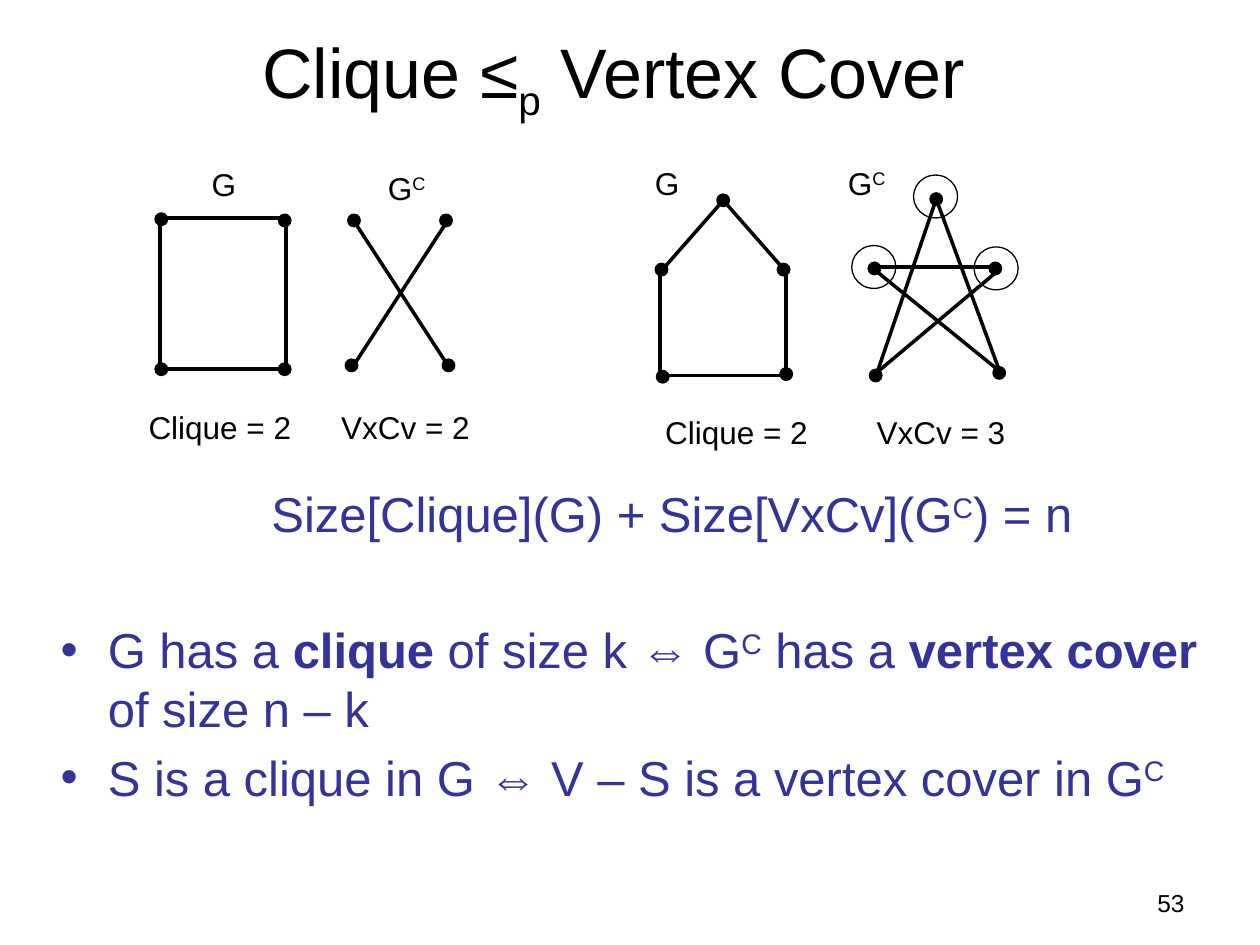
from lxml.etree import SubElement
from pptx import Presentation
from pptx.dml.color import RGBColor
from pptx.enum.shapes import MSO_CONNECTOR, MSO_SHAPE
from pptx.enum.text import MSO_ANCHOR, MSO_AUTO_SIZE, PP_ALIGN
from pptx.oxml.ns import qn
from pptx.util import Pt

BLACK, WHITE, INDIGO = "000000", "FFFFFF", "333399"
SUPER, SUB, BOLD = {"baseline": 30}, {"baseline": -25}, {"bold": True}
DOT = 7.2

GRAPHS = [
    {
        "rectangle": (91.4, 124.6, 72, 86.4),
        "dots": [(92.2, 125.3), (162.7, 126), (92.2, 211), (162.7, 211)],
    },
    {
        "edges": [(201.6, 125.3, 257.8, 211.7), (256.3, 125.3, 200.2, 211.7)],
        "dots": [(202.3, 126), (254.9, 126), (200.9, 208.8), (256.3, 208.8)],
    },
    {
        "rectangle": (377.3, 156.2, 72, 58.3),
        "edges": [(377.3, 155.5, 413.3, 114.5), (449.3, 155.5, 413.3, 114.5)],
        "opening": (378, 156.2, 448.6, 156.2),
        "dots": [(413.3, 114.5), (378, 154.1), (447.8, 154.1),
                 (449.3, 213.8), (378.7, 215.3)],
    },
    {
        "edges": [(500.4, 215.3, 535, 113.8), (572.4, 215.3, 535, 113.8),
                  (500.4, 152.6, 569.5, 152.6), (499.7, 154.1, 572.4, 213.1),
                  (571, 154.1, 499, 214.6)],
        "dots": [(535, 113.8), (499.7, 153.4), (568.8, 153.4),
                 (571, 213.1), (500.4, 214.6)],
    },
]
COVER = [(499.3, 152.6), (534.6, 112.3), (569.2, 153.4)]

COMPLEMENT = [("G", {}), ("C", SUPER)]
LABELS = [
    (77.8, 229.7, 95.8, [("Clique = 2", {})]),
    (187.9, 229.7, 87.8, [("VxCv = 2", {})]),
    (373, 232.6, 95.8, [("Clique = 2", {})]),
    (493.9, 232.6, 87.8, [("VxCv = 3", {})]),
    (113.8, 90.7, 28.8, [("G", {})]),
    (367.2, 90, 28.8, [("G", {})]),
    (214.6, 92.9, 37.4, COMPLEMENT),
    (477.4, 90, 37.4, COMPLEMENT),
]

TITLE = [("Clique ≤", {}), ("p", SUB), (" Vertex Cover", {})]
FORMULA = [("Size[Clique](G) + Size[VxCv](G", {}), ("C", SUPER), (") = n", {})]
BULLETS = [
    [("G has a ", {}), ("clique", BOLD), (" of size k ⇔ G", {}), ("C", SUPER),
     (" has a ", {}), ("vertex cover", BOLD), (" of size n – k", {})],
    [("S is a clique in G ⇔ V – S is a vertex cover in G", {}), ("C", SUPER)],
]


def colour(value):
    """Turn a hex string into a colour."""
    return RGBColor.from_string(value)


def apply(target, values):
    """Set every attribute named in a dict of format values."""
    for name, value in values.items():
        setattr(target, name, value)


def place(shape, left, top, width, height):
    """Move and size a shape, in points."""
    apply(shape, {"left": Pt(left), "top": Pt(top),
                  "width": Pt(width), "height": Pt(height)})


def write(para, spans, size, ink=BLACK):
    """Fill a paragraph with formatted spans."""
    for text, style in spans:
        span = para.add_run()
        span.text = text
        apply(span.font, {"name": "Arial", "size": Pt(size),
                          "bold": style.get("bold", False)})
        span.font.color.rgb = colour(ink)
        if "baseline" in style:
            span._r.get_or_add_rPr().set("baseline", str(style["baseline"] * 1000))


def indent(para, left, hanging=0, bullet=None):
    """Set the indents and the bullet of a paragraph."""
    properties = para._p.get_or_add_pPr()
    properties.set("marL", str(Pt(left)))
    properties.set("indent", str(-Pt(hanging)))
    if bullet:
        SubElement(properties, qn("a:buChar")).set("char", bullet)
    else:
        SubElement(properties, qn("a:buNone"))


def add_label(page, left, top, width, height, spans, size=18, **layout):
    """Add a one-line text box."""
    box = page.shapes.add_textbox(Pt(left), Pt(top), Pt(width), Pt(height))
    box.text_frame.word_wrap = bool(layout)
    para = box.text_frame.paragraphs[0]
    apply(para, layout)
    write(para, spans, size)


def add_outline(group, kind, left, top, width, height, fill=None, weight=0.75):
    """Add a black-edged preset shape with an optional fill."""
    shape = group.shapes.add_shape(kind, Pt(left), Pt(top), Pt(width), Pt(height))
    shape.shadow.inherit = False
    if fill:
        shape.fill.solid()
        shape.fill.fore_color.rgb = colour(fill)
    else:
        shape.fill.background()
    shape.line.color.rgb = colour(BLACK)
    shape.line.width = Pt(weight)


def add_circle(group, centre, width, height, fill=None):
    """Add a circle around a centre point."""
    x, y = centre
    add_outline(group, MSO_SHAPE.OVAL, x - width / 2, y - height / 2,
                width, height, fill)


def add_edge(group, ends, ink=BLACK, weight=2):
    """Add a straight line between two points."""
    edge = group.shapes.add_connector(MSO_CONNECTOR.STRAIGHT, *map(Pt, ends))
    edge.line.color.rgb = colour(ink)
    edge.line.width = Pt(weight)
    SubElement(edge._element.spPr, qn("a:effectLst"))


def add_graph(page, graph):
    """Add one grouped graph of edges and vertices."""
    group = page.shapes.add_group_shape()
    if "rectangle" in graph:
        add_outline(group, MSO_SHAPE.RECTANGLE, *graph["rectangle"], WHITE, 2)
    for ends in graph.get("edges", []):
        add_edge(group, ends)
    if "opening" in graph:
        add_edge(group, graph["opening"], WHITE, 3)
    for centre in graph["dots"]:
        add_circle(group, centre, DOT, DOT, BLACK)


def fill_title(title):
    """Place and write the title."""
    place(title, 26.6, 7.9, 648, 71.3)
    apply(title.text_frame, {"vertical_anchor": MSO_ANCHOR.MIDDLE,
                             "auto_size": MSO_AUTO_SIZE.NONE})
    para = title.text_frame.paragraphs[0]
    para.alignment = PP_ALIGN.CENTER
    write(para, TITLE, 40)


def fill_body(body):
    """Place the body and write the formula and the bullets."""
    place(body, 27.4, 272.9, 672.5, 241.2)
    frame = body.text_frame
    frame.auto_size = MSO_AUTO_SIZE.NONE
    formula = frame.paragraphs[0]
    indent(formula, 120.5)
    formula.space_before = Pt(0)
    write(formula, FORMULA, 28, INDIGO)
    for spans, gap in zip(BULLETS, (44, 5.6)):
        para = frame.add_paragraph()
        indent(para, 27, 27, "•")
        para.space_before = Pt(gap)
        write(para, spans, 28, INDIGO)


def main():
    """Build the slide and save it."""
    deck = Presentation()
    apply(deck, {"slide_width": Pt(720), "slide_height": Pt(540)})
    page = deck.slides.add_slide(deck.slide_layouts[1])
    fill_title(page.shapes.title)
    fill_body(page.placeholders[1])
    for graph in GRAPHS:
        add_graph(page, graph)
    rings = page.shapes.add_group_shape()
    for centre in COVER:
        add_circle(rings, centre, 25.2, 24.5)
    for left, top, width, spans in LABELS:
        add_label(page, left, top, width, 28.8, spans)
    add_label(page, 516.2, 504, 167.8, 25.2, [("53", {})], 14,
              alignment=PP_ALIGN.RIGHT)
    deck.save("out.pptx")


if __name__ == "__main__":
    main()
